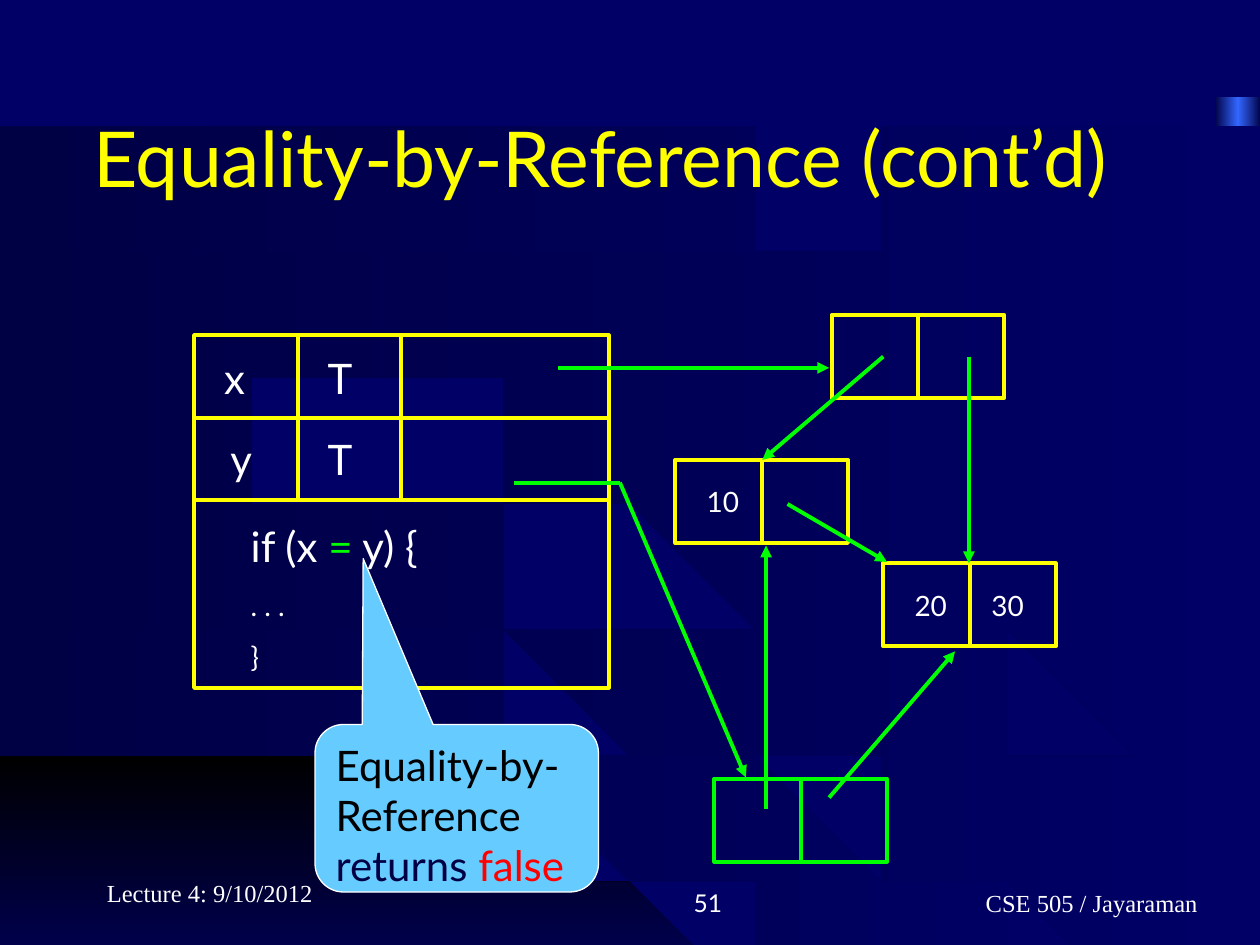
from lxml.etree import SubElement
from pptx import Presentation
from pptx.dml.color import RGBColor
from pptx.enum.shapes import MSO_CONNECTOR, MSO_SHAPE
from pptx.enum.text import MSO_ANCHOR, PP_ALIGN
from pptx.oxml.ns import qn
from pptx.util import Inches, Pt

COLS, ROWS = 10, 7.5  # grid units: a tenth of the slide's width
WHITE, YELLOW, GREEN = "FFFFFF", "FFFF00", "00FF00"
NAVY, BLUE = "000044", "000066"
SERIF = "Times New Roman"

# Bands of the backdrop: each is a ring of smooth edges through a few knots
HILL = [[(0, 8.27)],
        [(0, 5.68), (1.4, 5.78), (2.77, 6.06), (4.26, 6.63), (5.29, 7.28), (6.29, 8.27)]]
BANDS = [
    [[(0.01, 4.95), (1.31, 5), (2.5, 5.14), (4.73, 5.65), (6.45, 6.34), (7.67, 7.07),
      (8.94, 8.25)],
     [(6.43, 8.25), (5.54, 7.29), (4.55, 6.61), (3.43, 6.12), (1.86, 5.7), (0.01, 5.54)]],
    [[(0.01, 4.21), (1.96, 4.28), (3.85, 4.45), (5.71, 4.76), (7.39, 5.17), (8.74, 5.67),
      (10.01, 6.37)],
     [(10.01, 8.25)],
     [(9.1, 8.25), (8.11, 7.23), (6.79, 6.35), (5.22, 5.67), (3.61, 5.2), (1.84, 4.91),
      (0.01, 4.8)]],
    [[(0.01, 3.46), (2.2, 3.51), (4.39, 3.65), (6.17, 3.83), (8.17, 4.15), (10.01, 4.56)],
     [(10.01, 6.19), (8.82, 5.54), (7.44, 5.04), (5.61, 4.59), (3.52, 4.27), (1.68, 4.11),
      (0.01, 4.07)]],
    [[(0.01, 2.73)],
     [(10.01, 2.73)],
     [(10.01, 4.42), (8.14, 3.99), (6.08, 3.68), (3.9, 3.46), (1.87, 3.36), (0.01, 3.32)]],
    [[(0.01, 2.59)],
     [(10.01, 2.59)],
     [(10.01, 0.75)],
     [(9.44, 0.75), (8.64, 1.14), (7.35, 1.47), (5.55, 1.76), (3.3, 1.95), (1.58, 2.03),
      (0.01, 2.06)]],
    [[(0.01, 1.92), (1.78, 1.89), (3.82, 1.77), (5.46, 1.61), (7.16, 1.36), (8.31, 1.08),
      (9.18, 0.75)],
     [(5.57, 0.75), (4.17, 1.07), (2.68, 1.27), (1.22, 1.36), (0.01, 1.39)]],
    [[(0.01, 0.75)],
     [(0.01, 1.24), (1.38, 1.21), (2.54, 1.14), (4.01, 0.95), (5.02, 0.75)]],
]


def color(code):
    return RGBColor.from_string(code)


def shade(shape, stops, angle=0):
    """Fill with evenly spaced gradient stops and no line."""
    shape.shadow.inherit = False
    shape.line.fill.background()
    shape.fill.gradient()
    shape.fill.gradient_angle = angle
    ring = shape._element.spPr.find(qn("a:gradFill")).find(qn("a:gsLst"))
    for stop in list(ring):
        ring.remove(stop)
    for i, code in enumerate(stops):
        stop = SubElement(ring, qn("a:gs"), pos=str(100000 * i // (len(stops) - 1)))
        SubElement(stop, qn("a:srgbClr"), val=code)


def smooth(knots, steps=4):
    """Catmull-Rom points through the knots."""
    if len(knots) < 3:
        return knots
    pad = [knots[0], *knots, knots[-1]]
    points = []
    for quad in zip(pad, pad[1:], pad[2:], pad[3:]):
        for i in range(steps):
            t = i / steps
            points.append(tuple(
                b + t * (c - a) / 2 + t * t * (2 * a - 5 * b + 4 * c - d) / 2
                + t ** 3 * (3 * b - a - 3 * c + d) / 2
                for a, b, c, d in zip(*quad)))
    return points + [knots[-1]]


def band(slide, edges, stops, angle=0):
    points = [p for edge in edges for p in smooth(edge)]
    pen = slide.shapes.build_freeform(*points[0], scale=Inches(1))
    pen.add_line_segments(points[1:], close=True)
    shade(pen.convert_to_shape(), stops, angle)


def block(slide, box, kind=MSO_SHAPE.RECTANGLE, fill=None, line=YELLOW, width=2.25):
    shape = slide.shapes.add_shape(kind, *map(Inches, box))
    shape.shadow.inherit = False
    if fill:
        shape.fill.solid()
        shape.fill.fore_color.rgb = color(fill)
    else:
        shape.fill.background()
    shape.line.color.rgb = color(line)
    shape.line.width = Pt(width)
    return shape


def line(slide, start, end, ink=YELLOW, head=False):
    link = slide.shapes.add_connector(
        MSO_CONNECTOR.STRAIGHT, *map(Inches, (*start, *end)))
    link.line.color.rgb = color(ink)
    link.line.width = Pt(2.25)
    if head:
        SubElement(link.line._get_or_add_ln(), qn("a:tailEnd"), type="triangle")
    SubElement(link._element.spPr, qn("a:effectLst"))


def write(frame, paras, size=24, font="Lato", ink=WHITE, align=PP_ALIGN.LEFT,
          anchor=MSO_ANCHOR.TOP, gap=0, left=0.1):
    """A paragraph is a string or a list of (text, ink, size) runs."""
    frame.word_wrap = True
    frame.vertical_anchor = anchor
    frame.margin_left = Inches(left)
    for i, para in enumerate([paras] if isinstance(paras, str) else paras):
        p = frame.add_paragraph() if i else frame.paragraphs[0]
        p.alignment = align
        if i and gap:
            p.space_before = Pt(gap)
        for text, tint, points in [(para, ink, size)] if isinstance(para, str) else para:
            run = p.add_run()
            run.text = text
            run.font.name = font
            run.font.size = Pt(points)
            run.font.color.rgb = color(tint)


def label(slide, box, paras, **form):
    write(slide.shapes.add_textbox(*map(Inches, box)).text_frame, paras, **form)


def backdrop(slide):
    slide.background.fill.solid()
    slide.background.fill.fore_color.rgb = color(BLUE)
    shade(block(slide, (9.64, 0.77, 0.37, 7.5)), [NAVY, "3366FF", NAVY])
    band(slide, HILL, ["000000", BLUE], 270)
    for edges in BANDS:
        band(slide, edges, [NAVY, BLUE])


def frame(slide, x, y, w, h):
    """Stack frame: two variable rows over the code."""
    col, row = w / 4, 0.655
    block(slide, (x, y, w, h))
    for i in (1, 2):
        line(slide, (x, y + i * row), (x + w, y + i * row))
        line(slide, (x + i * col, y), (x + i * col, y + 2 * row))
    for i, (name, shift) in enumerate([("x", 0.14), ("y", 0.19)]):
        top = y + 0.09 + i * 0.64
        label(slide, (x + shift, top, 0.68, 0.5), name)
        label(slide, (x + col + 0.14, top, 0.68, 0.5), "T")
    code = [[("if (x ", WHITE, 24), ("=", GREEN, 24), (" y) {", WHITE, 24)], ". . .", "}"]
    label(slide, (x + 0.13, y + 1.42, 2.6, 1.31), code, size=16, gap=10, left=0.32)


def node(slide, x, y, values=(), ink=YELLOW):
    """Pair of cells, each with an optional value."""
    w, h = 1.37, 0.66
    block(slide, (x, y, w, h), line=ink)
    line(slide, (x + w / 2, y), (x + w / 2, y + h), ink)
    for i, value in enumerate(values):
        label(slide, (x + 0.15 + i * 0.61, y + 0.15, 0.68, 0.37), value, size=16)


def graph(slide):
    node(slide, 6.6, 2.5)
    node(slide, 5.36, 3.65, ["10"])
    node(slide, 7.01, 4.47, ["20", "30"])
    node(slide, 5.67, 6.18, ink=GREEN)
    line(slide, (4.08, 3.83), (4.92, 3.83), GREEN)
    for start, end in [
        ((4.92, 3.83), (5.92, 6.17)), ((6.08, 6.42), (6.08, 4.33)),
        ((6.58, 6.33), (7.58, 5.17)), ((7.01, 2.83), (6.05, 3.65)),
        ((7.69, 2.83), (7.69, 4.47)), ((6.25, 4), (7.04, 4.46)),
        ((4.43, 2.92), (6.58, 2.92)),
    ]:
        line(slide, start, end, GREEN, head=True)


def callout(slide, box):
    note = block(slide, box, MSO_SHAPE.ROUNDED_RECTANGULAR_CALLOUT, "66CCFF", WHITE, 0.75)
    for i, value in enumerate((-0.33, -1.49, 0.17)):
        note.adjustments[i] = value
    write(note.text_frame, ["Equality-by-Reference",
                            [("returns", NAVY, 24), (" false", "FF0000", 24)]], ink="000000")


def footer(slide, y):
    form = dict(size=14, anchor=MSO_ANCHOR.BOTTOM)
    label(slide, (0.75, y - 0.08, 2.08, 0.5), "Lecture 4: 9/10/2012", font=SERIF, **form)
    label(slide, (3.75, y, 2.08, 0.5), "51", align=PP_ALIGN.RIGHT, **form)
    label(slide, (6.58, y, 3.17, 0.5), "CSE 505 / Jayaraman", font=SERIF,
          align=PP_ALIGN.CENTER, left=1.1, **form)


def main():
    deck = Presentation()
    deck.slide_width, deck.slide_height = Inches(COLS), Inches(ROWS)
    slide = deck.slides.add_slide(deck.slide_layouts[6])
    backdrop(slide)
    label(slide, (0.64, 0.83, 8.73, 0.84), "Equality-by-Reference (cont’d)",
          size=44, ink=YELLOW)
    frame(slide, 1.54, 2.66, 3.29, 2.8)
    graph(slide)
    callout(slide, (2.5, 5.75, 2.25, 1.33))
    footer(slide, 6.83)
    deck.save("out.pptx")


if __name__ == "__main__":
    main()
